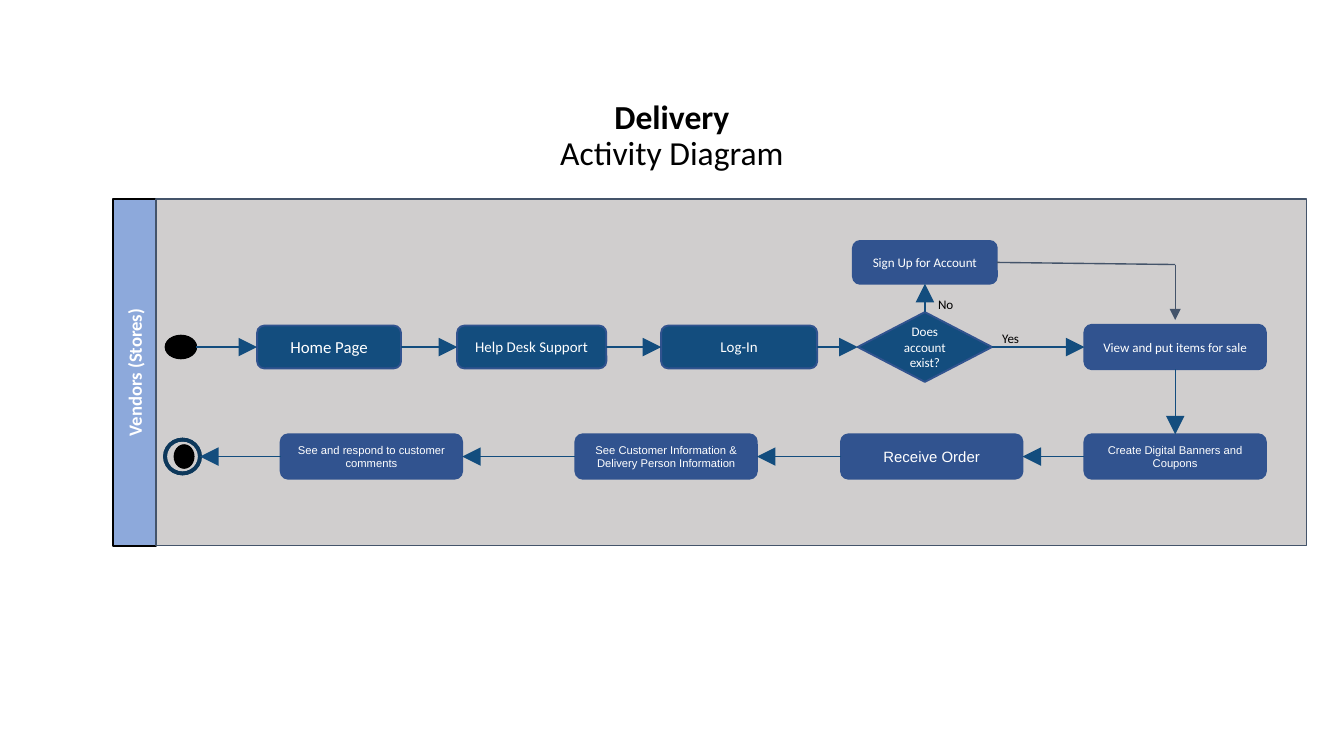
from lxml import etree
from pptx import Presentation
from pptx import util as u
from pptx.dml.color import RGBColor
from pptx.enum import shapes, text
from pptx.oxml.ns import qn

WHITE, BLACK = "FFFFFF", "000000"
TEAL, BLUE, SLATE = "134D7E", "31538F", "44546A"
KIND = shapes.MSO_SHAPE


def color(value):
    return RGBColor.from_string(value)


class Diagram:
    """Style and current slide; all lengths are centimetres."""

    def __init__(self, slide, font="Calibri"):
        self.slide = slide
        self.font = font

    def set_text(self, frame, content, size, fill, font=None, bold=False,
                 align=text.PP_ALIGN.CENTER, anchor=text.MSO_ANCHOR.MIDDLE,
                 insets=(0.13, 0.08)):
        frame.text = content
        frame.word_wrap = True
        frame.vertical_anchor = anchor
        frame.margin_left = frame.margin_right = u.Cm(insets[0])
        frame.margin_top = frame.margin_bottom = u.Cm(insets[1])
        for paragraph in frame.paragraphs:
            paragraph.alignment = align
            for run in paragraph.runs:
                run.font.size = u.Pt(size)
                run.font.name = font or self.font
                run.font.bold = bold
                run.font.color.rgb = color(fill)

    def title(self, name, subtitle, left, top, width, height):
        shape = self.slide.shapes.title
        shape.left, shape.top = u.Cm(left), u.Cm(top)
        shape.width, shape.height = u.Cm(width), u.Cm(height)
        frame = shape.text_frame
        self.set_text(frame, f"{name}\v{subtitle}", 18, BLACK,
                      anchor=text.MSO_ANCHOR.BOTTOM, insets=(0.18, 0.08))
        frame.auto_size = text.MSO_AUTO_SIZE.NONE
        paragraph = frame.paragraphs[0]
        paragraph.line_spacing = 0.9
        paragraph.runs[0].font.bold = True

    def node(self, kind, x, y, width, height, fill, line, weight=1,
             content=None, size=8, font=None, bold=False):
        """Add a shape centred on (x, y)."""
        shape = self.slide.shapes.add_shape(
            kind, u.Cm(x - width / 2), u.Cm(y - height / 2),
            u.Cm(width), u.Cm(height))
        shape.shadow.inherit = False
        shape.fill.solid()
        shape.fill.fore_color.rgb = color(fill)
        shape.line.color.rgb = color(line)
        shape.line.width = u.Pt(weight)
        if content:
            self.set_text(shape.text_frame, content, size, WHITE, font, bold)
        return shape

    def step(self, content, x, y, width, height, fill, size, font=None):
        return self.node(KIND.ROUNDED_RECTANGLE, x, y, width, height, fill,
                         BLUE, content=content, size=size, font=font)

    def label(self, content, left, top):
        box = self.slide.shapes.add_textbox(
            u.Cm(left), u.Cm(top), u.Cm(1.14), u.Cm(0.81))
        self.set_text(box.text_frame, content, 7, BLACK,
                      align=text.PP_ALIGN.LEFT, anchor=text.MSO_ANCHOR.BOTTOM,
                      insets=(0.25, 0.25))

    def line(self, start, end, stroke=TEAL, head="lg"):
        connector = self.slide.shapes.add_connector(
            shapes.MSO_CONNECTOR.STRAIGHT, *start, *end)
        connector.line.color.rgb = color(stroke)
        connector.line.width = u.Pt(0.75)
        properties = connector._element.spPr
        if head:
            etree.SubElement(properties.find(qn("a:ln")), qn("a:tailEnd"),
                             type="triangle", w=head, len=head)
        etree.SubElement(properties, qn("a:effectLst"))


def edge(shape, side):
    """Return the middle point of one side of a shape."""
    dx, dy = {"left": (0, 1), "right": (2, 1),
              "top": (1, 0), "bottom": (1, 2)}[side]
    return (shape.left + shape.width * dx // 2,
            shape.top + shape.height * dy // 2)


def main():
    presentation = Presentation()
    presentation.slide_width = u.Cm(25.4)
    presentation.slide_height = u.Cm(14.29)
    slide = presentation.slides.add_slide(presentation.slide_layouts[5])
    diagram = Diagram(slide)
    diagram.title("Delivery", "Activity Diagram", 6.65, 1.5, 12.1, 1.85)

    # Swimlane
    lane_y, lane_height = 7.04, 6.55
    header = diagram.node(KIND.RECTANGLE, 2.54, lane_y, lane_height, 0.81,
                          "8DA9DB", BLACK, content="Vendors (Stores)",
                          size=10, bold=True)
    header.rotation = 270
    diagram.node(KIND.RECTANGLE, 13.82, lane_y, 21.74, lane_height,
                 "D0CECE", SLATE, 0.75)

    # Upper row: log in
    upper, lower, decision_x, last_x = 6.56, 8.63, 17.48, 22.21
    start = diagram.node(KIND.OVAL, 3.42, upper, 0.58, 0.43, BLACK, BLACK)
    home = diagram.step("Home Page", 6.22, upper, 2.72, 0.81, TEAL, 9)
    support = diagram.step("Help Desk Support", 10.05, upper, 2.82, 0.81, TEAL, 8)
    login = diagram.step("Log-In", 13.97, upper, 2.95, 0.81, TEAL, 8)
    decision = diagram.node(KIND.DIAMOND, decision_x, upper, 2.54, 1.32, TEAL,
                            BLUE, content="Does account exist?", size=7)
    sell = diagram.step("View and put items for sale", last_x, upper,
                        3.43, 0.84, BLUE, 7)
    sign_up = diagram.step("Sign Up for Account", decision_x, 4.96,
                           2.72, 0.81, BLUE, 7)

    # Lower row, from right to left: handle orders
    orders = [
        diagram.step(content, x, lower, 3.43, 0.84, BLUE, size, "Arial")
        for content, x, size in (
            ("Create Digital Banners and Coupons", last_x, 6),
            ("Receive Order", 17.61, 8),
            ("See Customer Information & Delivery Person Information", 12.59, 6),
            ("See and respond to customer comments", 7.02, 6))]
    diagram.node(KIND.OVAL, 3.48, lower, 0.36, 0.43, BLACK, BLACK)
    end = diagram.node(KIND.DONUT, 3.45, lower, 0.66, 0.64, TEAL, "0D385B", 2)
    end.adjustments[0] = 0

    # Arrows along the rows
    login_flow = [start, home, support, login, decision, sell]
    for source, target in zip(login_flow, login_flow[1:]):
        diagram.line(edge(source, "right"), edge(target, "left"))
    order_flow = orders + [end]
    for source, target in zip(order_flow, order_flow[1:]):
        diagram.line(edge(source, "left"), edge(target, "right"))

    # Arrows between the rows
    diagram.line(edge(decision, "top"), edge(sign_up, "bottom"))
    diagram.line(edge(sell, "bottom"), edge(orders[0], "top"))
    corner = (u.Cm(last_x), u.Cm(5))
    diagram.line(edge(sign_up, "right"), corner, SLATE, None)
    diagram.line(corner, (u.Cm(last_x), u.Cm(6.05)), SLATE, "med")

    # Decision labels
    diagram.label("Yes", 18.69, 5.89)
    diagram.label("No", decision_x, 5.23)

    presentation.save("out.pptx")


if __name__ == "__main__":
    main()
